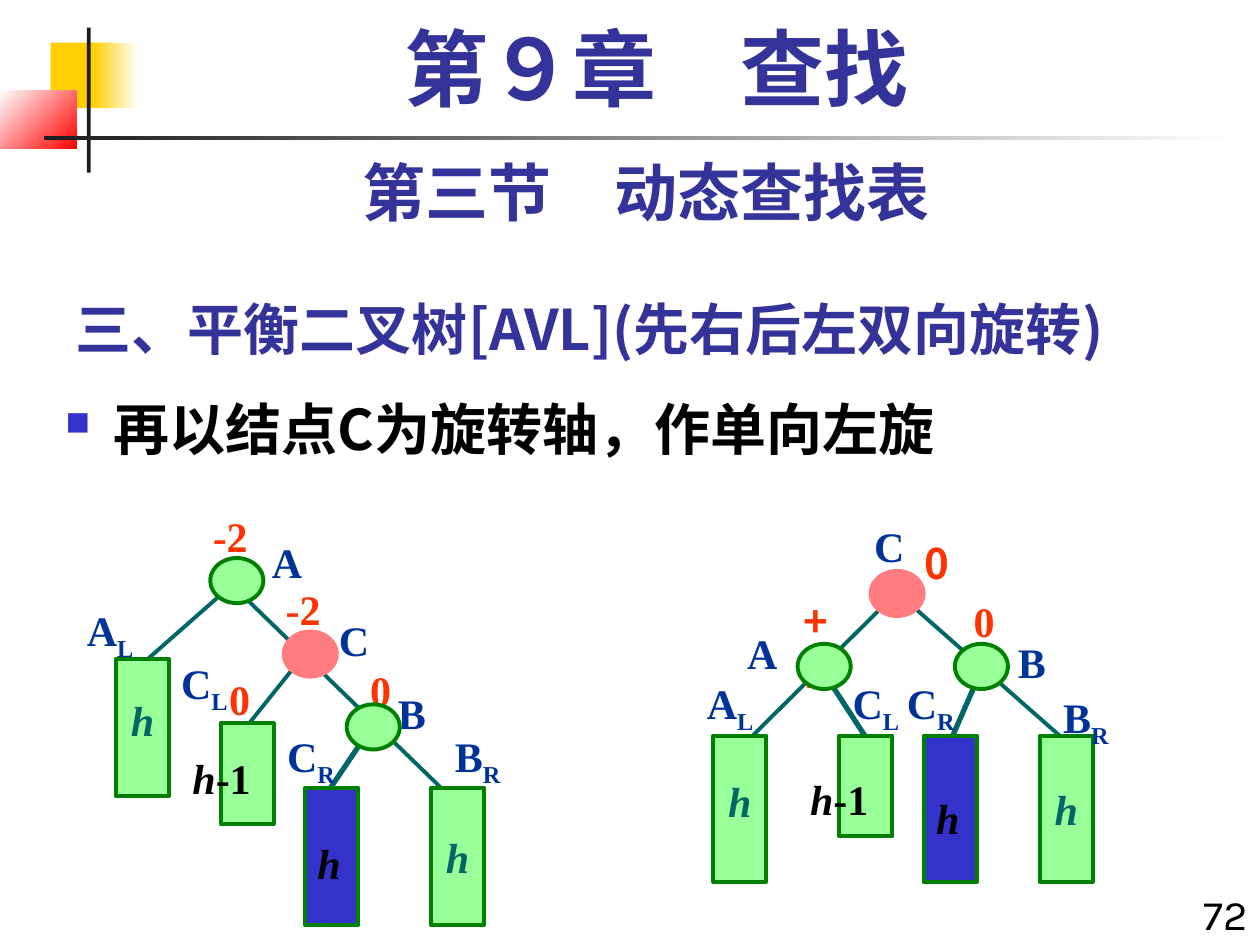
import pptx
import pptx.dml.color
import pptx.enum.shapes
import pptx.enum.text
import pptx.util
from lxml import etree
from pptx.oxml.ns import qn

Cm = pptx.util.Cm
Pt = pptx.util.Pt
hue = pptx.dml.color.RGBColor.from_string
KIND = pptx.enum.shapes.MSO_SHAPE
ALIGN = pptx.enum.text.PP_ALIGN
FIT = pptx.enum.text.MSO_AUTO_SIZE
ANCHOR = pptx.enum.text.MSO_ANCHOR
SANS, SERIF = "Noto Sans CJK SC", "Times New Roman"
INK, TEAL, RED, NAVY = "333399", "006666", "FF3300", "003399"
GREEN, DARK, PINK, RIM = "99FF99", "3333CC", "FF7C80", "008000"


def form(home, kind, x, y, w, h, fill, line=None):
    """Add a preset shape; a list as fill is start colour, end colour, angle."""
    shape = home.add_shape(kind, Cm(x), Cm(y), Cm(w), Cm(h))
    shape.shadow.inherit = False
    if isinstance(fill, list):
        shape.fill.gradient()
        shape.fill.gradient_angle = fill[2]
        for stop, tint, pos in zip(shape.fill.gradient_stops, fill, (0, 1)):
            stop.color.rgb = hue(tint)
            stop.position = pos
    else:
        shape.fill.solid()
        shape.fill.fore_color.rgb = hue(fill)
    if line:
        shape.line.color.rgb = hue(line)
        shape.line.width = Pt(2.25)
    else:
        shape.line.fill.background()
    return shape


def write(para, text, size, tint, face=SERIF, bold=True, slant=False):
    """Add a formatted run to a paragraph."""
    run = para.add_run()
    run.text = text
    font = run.font
    font.size, font.bold, font.italic = Pt(size), bold, slant
    font.color.rgb = hue(tint)
    font.name = face
    props = run._r.get_or_add_rPr()
    etree.SubElement(props, qn("a:ea")).set("typeface", SANS)
    return run


deck = pptx.Presentation()
deck.slide_width, deck.slide_height = Cm(25.4), Cm(19.05)
slide = deck.slides.add_slide(deck.slide_layouts[5])
shapes = slide.shapes

# Corner ornament and rules
for x, y, w, h, fill in [
    (1.02, 0.86, 1.22, 1.32, "FFCF01"),
    (1.88, 0.86, 0.91, 1.32, ["FFCF01", "FFFFFF", 0]),
    (0, 1.83, 1.55, 1.17, ["FFFFFF", "FF0000", 315]),
    (1.75, 0.56, 0.08, 2.92, "1C1C1C"),
    (0.89, 2.74, 24, 0.08, ["1C1C1C", "FFFFFF", 0]),
]:
    form(shapes, KIND.RECTANGLE, x, y, w, h, fill)

# Title
title = shapes.title
title.left, title.top, title.width, title.height = Cm(1.27), Cm(5.51), Cm(22.23), Cm(1.9)
frame = title.text_frame
frame.auto_size = FIT.NONE
frame.vertical_anchor = ANCHOR.BOTTOM
frame.paragraphs[0].alignment = ALIGN.LEFT
write(frame.paragraphs[0], "三、平衡二叉树[AVL](先右后左双向旋转)", 32, INK, SANS)

# Headings, bullet line and page number
for x, y, w, h, text, size, tint, face, bold, align, gap in [
    (1.7, 0.43, 23.06, 2.11, "第９章　查找", 48, INK, SERIF, True, ALIGN.CENTER, 0.9),
    (1.27, 2.97, 23.5, 1.78, "第三节　动态查找表", 36, INK, "Karla", True, ALIGN.CENTER, 1),
    (1.07, 7.82, 24.33, 1.9, "再以结点C为旋转轴，作单向左旋", 32, "000000", SANS, True, ALIGN.LEFT, 1),
    (23.7, 17.78, 1.7, 1.5, "72", 24, "000000", "Karla", False, ALIGN.RIGHT, 1),
]:
    box = shapes.add_textbox(Cm(x), Cm(y), Cm(w), Cm(h))
    box.text_frame.word_wrap = True
    para = box.text_frame.paragraphs[0]
    para.alignment, para.line_spacing = align, gap
    if align == ALIGN.LEFT:
        props = para._p.get_or_add_pPr()
        props.set("marL", str(Cm(0.97)))
        props.set("indent", str(-Cm(0.97)))
        tone = etree.SubElement(props, qn("a:buClr"))
        etree.SubElement(tone, qn("a:srgbClr")).set("val", DARK)
        etree.SubElement(props, qn("a:buSzPct")).set("val", "60000")
        etree.SubElement(props, qn("a:buChar")).set("char", "■")
    write(para, text, size, tint, face, bold)

# Each tree: edges (x1, y1, x2, y2, weight), bars (x, y, height, fill, spacing of h),
# labels (text, x, y), nodes (x, y, fill)
before = dict(
    edges=[(7.42, 14.76, 6.55, 16.05, 3), (4.45, 11.99, 2.54, 13.67, 2.25),
           (4.88, 11.99, 8.89, 15.88, 2.25), (5.92, 13.46, 4.88, 14.76, 2.25)],
    bars=[(8.69, 15.88, 2.77, GREEN, 1), (2.34, 13.28, 2.77, GREEN, 0.6),
          (6.15, 15.88, 2.77, DARK, None), (4.45, 14.58, 2.03, GREEN, None)],
    labels=[("0", 7.21, 13.28), ("0", 4.37, 13.46), ("-2", 4.04, 10.16),
            ("-2", 5.51, 11.63), ("A", 5.23, 10.69), ("B", 7.77, 13.74),
            ("C", 6.58, 12.27), ("BR", 8.92, 14.61), ("AL", 1.5, 12.07),
            ("CL", 3.4, 13.13), ("CR", 5.54, 14.61), ("h-1", 3.63, 15.04),
            ("h", 6.15, 16.76)],
    nodes=[(5.72, 12.73, PINK), (4.24, 11.25, GREEN), (6.99, 14.2, GREEN)],
)
after = dict(
    edges=[(19.69, 13.72, 19.05, 15.19, 3), (18.42, 12.24, 21.36, 14.83, 2.25),
           (17.78, 12.24, 14.81, 15.19, 2.25), (16.71, 13.72, 17.55, 15.01, 3)],
    bars=[(20.96, 14.83, 2.95, GREEN, 1), (14.38, 14.83, 2.95, GREEN, 0.6),
          (18.62, 14.83, 2.95, DARK, None), (16.92, 14.83, 2.03, GREEN, None)],
    labels=[("０", 18.39, 10.72), ("+1", 15.95, 11.89), ("0", 19.38, 11.89),
            ("A", 14.81, 12.52), ("B", 20.27, 12.7), ("C", 17.37, 10.36),
            ("BR", 21.18, 13.82), ("AL", 14, 13.54), ("CL", 16.94, 13.54),
            ("CR", 18.03, 13.54), ("h-1", 16.08, 15.47), ("h", 18.62, 15.85)],
    nodes=[(16.08, 12.98, GREEN), (17.55, 11.51, PINK), (19.25, 12.98, GREEN)],
)
wide = {"0": 0.91, "０": 0.99, "-2": 1.22, "+1": 1.35, "A": 1.12, "B": 1.07, "C": 1.12,
        "AL": 1.45, "BR": 1.42, "CL": 1.45, "CR": 1.47, "h": 0.97, "h-1": 1.68}

for tree in (before, after):
    group = shapes.add_group_shape().shapes
    for x1, y1, x2, y2, weight in tree["edges"]:
        edge = group.add_connector(pptx.enum.shapes.MSO_CONNECTOR.STRAIGHT,
                                   Cm(x1), Cm(y1), Cm(x2), Cm(y2))
        edge.line.color.rgb = hue(TEAL)
        edge.line.width = Pt(weight)
        etree.SubElement(edge._element.spPr, qn("a:effectLst"))
    for x, y, h, fill, gap in tree["bars"]:
        bar = form(group, KIND.RECTANGLE, x, y, 1.07, h, fill, RIM)
        if gap:
            bar.text_frame.word_wrap = False
            para = bar.text_frame.paragraphs[0]
            para.alignment, para.line_spacing = ALIGN.CENTER, gap
            write(para, "h", 24, TEAL, slant=True)
    for text, x, y in tree["labels"]:
        head, rest = text[0], text[1:]
        low = rest in ("L", "R")
        box = group.add_textbox(Cm(x), Cm(y), Cm(wide[text]), Cm(1.42 if low else 1.27))
        box.text_frame.word_wrap = False
        box.text_frame.auto_size = FIT.SHAPE_TO_FIT_TEXT
        para = box.text_frame.paragraphs[0]
        tint = NAVY if head in "ABC" else "000000" if head == "h" else RED
        face = SANS if head in "+０" else SERIF
        write(para, "0" if head == "０" else head, 24, tint, face, slant=head == "h")
        if rest:
            tail = write(para, rest, 24, tint)
            if low:
                tail._r.get_or_add_rPr().set("baseline", "-25000")
    for x, y, fill in tree["nodes"]:
        form(group, KIND.OVAL, x, y, 1.07, 0.91, fill, PINK if fill == PINK else RIM)

deck.save("out.pptx")
